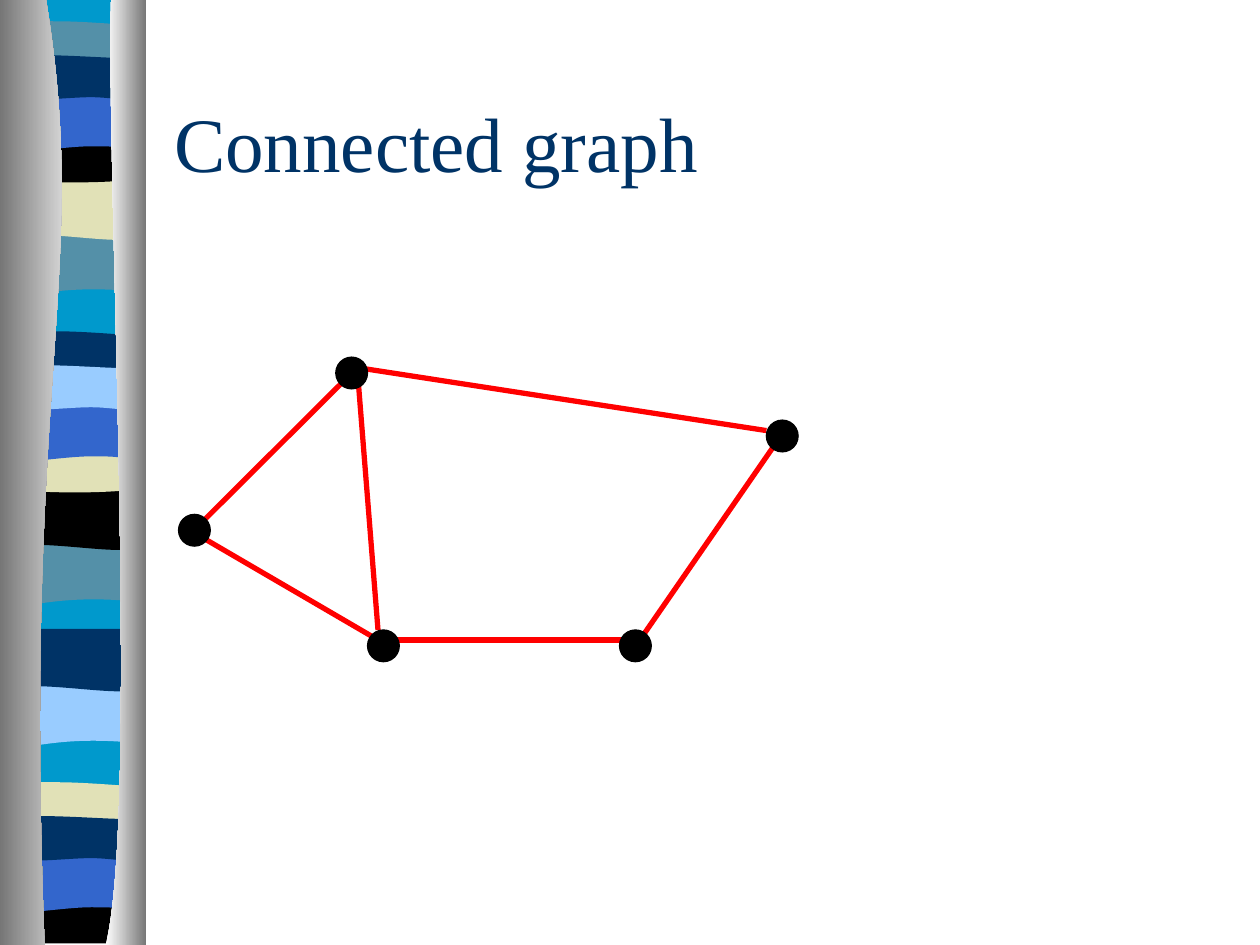
from collections import namedtuple

from lxml.etree import SubElement
from pptx import Presentation
from pptx.dml.color import RGBColor as RGB
from pptx.enum.shapes import MSO_CONNECTOR as LINK, MSO_SHAPE as SHAPE
from pptx.enum.text import MSO_ANCHOR as ANCHOR
from pptx.oxml.ns import qn
from pptx.util import Cm, Pt

Theme = namedtuple("Theme", "teal slate sand black blue navy sky red white grey font title_size")
theme = Theme("0099CC", "5490A8", "E1E1B7", "000000", "3366CC", "003366", "99CCFF",
              "FF0000", "FFFFFF", "767676", "Times New Roman", 44)

deck = Presentation()
deck.slide_width, deck.slide_height = Cm(25.4), Cm(19.05)
slide = deck.slides.add_slide(deck.slide_layouts[6])
shapes = slide.shapes


def add_text(text, left, top, width, height, size, color, font=theme.font, anchor=ANCHOR.MIDDLE):
    frame = shapes.add_textbox(Cm(left), Cm(top), Cm(width), Cm(height)).text_frame
    frame.word_wrap = True
    frame.vertical_anchor = anchor
    run = frame.paragraphs[0].add_run()
    run.text = text
    run.font.name, run.font.size = font, Pt(size)
    run.font.color.rgb = RGB.from_string(color)


def add_outline(steps, colors, top=0):
    corners = [(Cm(step[i]), Cm(step[i + 1] + top)) for step in steps for i in range(0, len(step), 2)]
    builder = shapes.build_freeform(*corners[0])
    builder.add_line_segments(corners[1:], close=True)
    outline = builder.convert_to_shape()
    track = next(outline._element.iter(qn("a:path")))
    lines = iter(track.findall(qn("a:lnTo")))
    for step in steps[1:]:
        first = next(lines)
        if len(step) == 6:
            curve = SubElement(track, qn("a:cubicBezTo"))
            first.addprevious(curve)
            for line in (first, next(lines), next(lines)):
                curve.append(line[0])
                track.remove(line)
    outline.shadow.inherit = False
    outline.line.fill.background()
    if len(colors) == 1:
        outline.fill.solid()
        outline.fill.fore_color.rgb = RGB.from_string(colors[0])
    else:
        outline.fill.gradient()
        outline.fill.gradient_angle = 0
        for stop, color in zip(outline.fill.gradient_stops, colors):
            stop.color.rgb = RGB.from_string(color)


L, R = 0.13, 2.88
dip = [(R, 0), (R, 1.19), (0.99, 0.99, 0.58, 1.4, L, 1.19), (L, 0)]
swell = [(R, 0), (R, 1.19), (2.44, 1.4, 0.99, 1.04, L, 1.19), (L, 0)]
crest = [(R, 0), (R, 0.61), (2.44, 0.72, 0.58, 0.72, L, 0.61), (L, 0),
         (0.33, -0.13, 0.74, -0.1, 1.19, -0.1), (1.65, -0.1, 2.54, -0.03, R, 0)]
bowl = [(R, 0), (R, 0.84), (2.44, 0.97, 0.58, 0.97, L, 0.84), (L, 0), (1.83, 0.13, 2.31, 0, R, 0)]
foot = [(R, 0), (R, 0.94), (L, 0.94), (L, 0), (1.83, 0.13, 2.31, 0, R, 0)]
arch = [(R, 0), (R, 1.2), (2.46, 1.07, 2.29, 1.07, 1.83, 1.07),
        (1.37, 1.07, 0.56, 1.2, L, 1.2), (L, 0)]
ripple = [(R, 0), (R, 0.79), (2.72, 0.91, 2.29, 0.79, 1.83, 0.79),
          (1.37, 0.79, 0.43, 0.91, L, 0.79), (L, 0), (0.53, -0.13, 2.01, 0, 2.46, 0),
          (2.92, 0, 2.79, 0, R, 0)]

add_outline([(R, -0.03), (R, 18.97), (L, 18.97), (L, -0.03)], [theme.teal])
second, third, last = 6.25, 9.1, 15.34
bands = [
    (dip, 4.7, theme.slate), (swell, 3.58, theme.sand), (crest, 0.53, theme.slate),
    (bowl, 2.74, theme.black), (arch, 1.88, theme.blue), (ripple, 1.17, theme.navy),
    (dip, 4.7 + second, theme.slate), (swell, 3.58 + second, theme.black),
    (crest, 0.53 + second, theme.navy), (bowl, 2.74 + second, theme.sand),
    (arch, 1.88 + second, theme.blue), (ripple, 1.17 + second, theme.sky),
    (dip, 4.7 + third, theme.sky), (swell, 3.58 + third, theme.navy),
    (crest, 0.53 + last, theme.sand), (foot, 2.74 + last, theme.black),
    (arch, 1.88 + last, theme.blue), (ripple, 1.17 + last, theme.navy),
]
for steps, top, color in bands:
    add_outline(steps, [color], top)

add_outline([(0.93, 0), (1.83, 5.5, 0.45, 7.52, 0.9, 19.05), (0, 19.05), (0, 0)],
            [theme.grey, theme.white])
add_outline([(2.24, 0), (2.13, 3.18, 2.82, 16.41, 2.13, 19.05), (2.95, 19.05), (2.95, 0)],
            [theme.white, theme.grey])

add_text("Connected graph", 3.26, 1.27, 21.59, 3.18, size=theme.title_size, color=theme.navy)

edges = [(12.9, 12.9, 15.67, 8.89), (7.2, 7.41, 15.45, 8.68), (7.2, 7.41, 7.62, 12.7),
         (7.83, 12.9, 12.7, 12.9), (4.02, 10.8, 7.62, 12.9), (4.02, 10.58, 6.99, 7.62)]
for ends in edges:
    edge = shapes.add_connector(LINK.STRAIGHT, *map(Cm, ends))
    edge.line.width = Pt(3)
    edge.line.color.rgb = RGB.from_string(theme.red)
    SubElement(edge._element.spPr, qn("a:effectLst"))

vertices = [(3.6, 10.37), (15.45, 8.47), (12.49, 12.7), (7.41, 12.7), (6.77, 7.2)]
for left, top in vertices:
    vertex = shapes.add_shape(SHAPE.OVAL, Cm(left), Cm(top), Cm(0.64), Cm(0.64))
    vertex.shadow.inherit = False
    vertex.fill.solid()
    vertex.fill.fore_color.rgb = vertex.line.color.rgb = RGB.from_string(theme.black)
    vertex.line.width = Pt(0.75)

deck.save("out.pptx")
